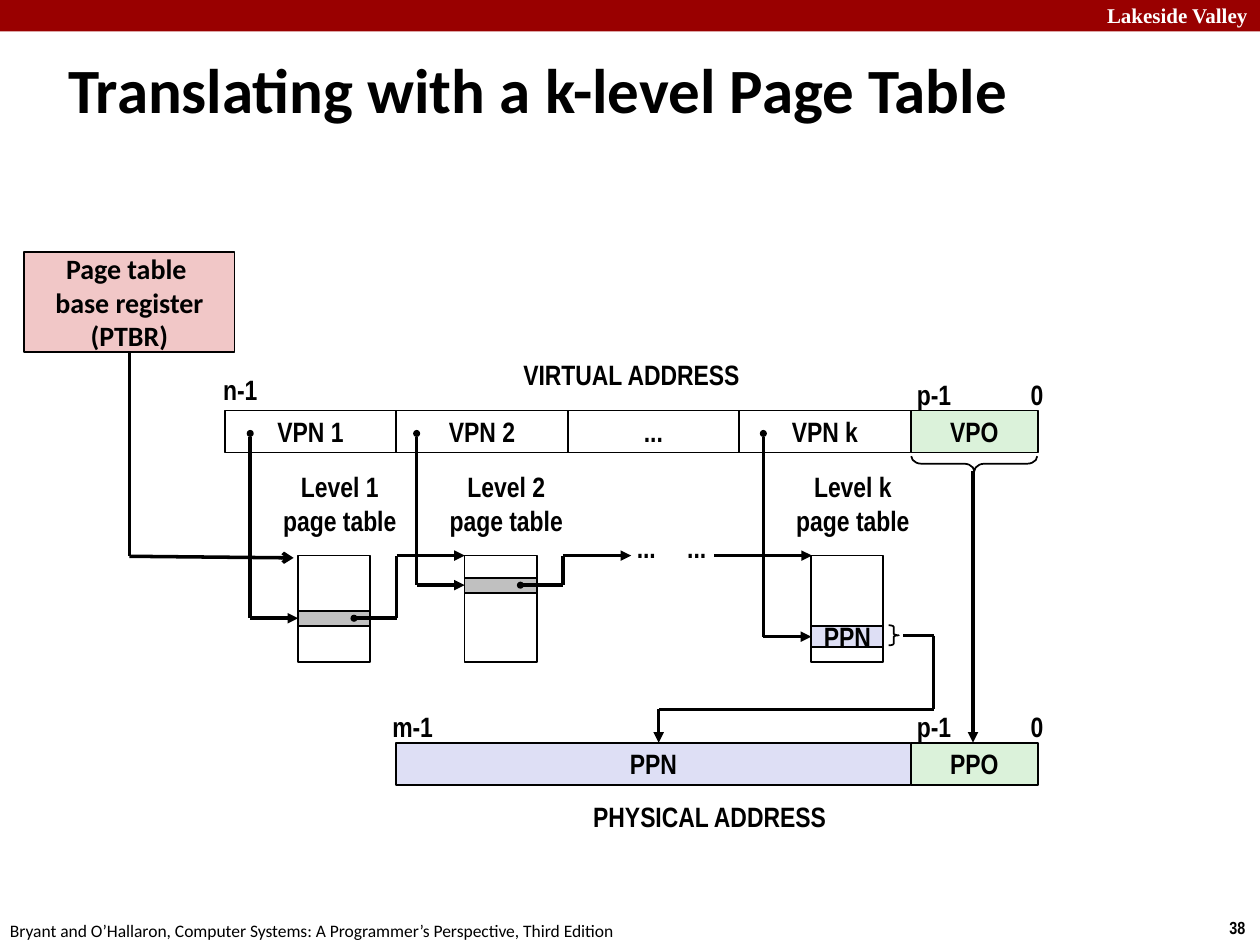
from itertools import pairwise

from lxml import etree
from pptx import Presentation
from pptx.dml.color import RGBColor
from pptx.enum.shapes import MSO_CONNECTOR, MSO_SHAPE
from pptx.enum.text import MSO_ANCHOR, PP_ALIGN
from pptx.oxml.ns import qn
from pptx.util import Pt

RECT, BRACE = MSO_SHAPE.RECTANGLE, MSO_SHAPE.RIGHT_BRACE
STRAIGHT = MSO_CONNECTOR.STRAIGHT
LEFT, CENTER, RIGHT = PP_ALIGN.LEFT, PP_ALIGN.CENTER, PP_ALIGN.RIGHT
TOP, MIDDLE = MSO_ANCHOR.TOP, MSO_ANCHOR.MIDDLE

BLACK = RGBColor(0x00, 0x00, 0x00)
WHITE = RGBColor(0xFF, 0xFF, 0xFF)
DARK_RED = RGBColor(0x99, 0x00, 0x00)
PINK = RGBColor(0xF1, 0xC7, 0xC7)
GREEN = RGBColor(0xDB, 0xF2, 0xDA)
LILAC = RGBColor(0xDE, 0xDF, 0xF5)
GRAY = RGBColor(0xC0, 0xC0, 0xC0)

BODY_FONT, TITLE_FONT, BAND_FONT = "Arial Narrow", "Calibri", "Times New Roman"

# Address fields: four VPN cells, then the page offset
VPN_LEFT, VPN_WIDTH = 128.4, 98
OFFSET_LEFT, OFFSET_WIDTH = VPN_LEFT + 4 * VPN_WIDTH, 72.6
VIRTUAL_TOP, PHYSICAL_TOP, FIELD_HEIGHT = 234.6, 424.4, 24
# Page tables
TABLE_TOP, TABLE_WIDTH, TABLE_HEIGHT = 317.5, 41.2, 61


def write(shape, text, size=16, font=BODY_FONT, color=BLACK, bold=True,
          align=CENTER, anchor=MIDDLE, wrap=False):
    frame = shape.text_frame
    frame.text = text
    frame.word_wrap = wrap
    frame.vertical_anchor = anchor
    for paragraph in frame.paragraphs:
        paragraph.alignment = align
        for run in paragraph.runs:
            run.font.name, run.font.size = font, Pt(size)
            run.font.bold = bold
            run.font.color.rgb = color


def label(slide, text, left, top, width, height=26.6, **text_format):
    box = slide.shapes.add_textbox(Pt(left), Pt(top), Pt(width), Pt(height))
    write(box, text, **text_format)


def block(slide, left, top, width, height, fill=None, text="", kind=RECT,
          outlined=True, **text_format):
    shape = slide.shapes.add_shape(kind, Pt(left), Pt(top), Pt(width), Pt(height))
    shape.shadow.inherit = False
    if fill is None:
        shape.fill.background()
    else:
        shape.fill.solid()
        shape.fill.fore_color.rgb = fill
    if outlined:
        shape.line.color.rgb = BLACK
        shape.line.width = Pt(1)
    else:
        shape.line.fill.background()
    if text:
        write(shape, text, **text_format)
    return shape


def wire(slide, *points, head=None, tail=None):
    """Straight segments through the points, with optional end marks."""
    last = len(points) - 2
    for i, (start, end) in enumerate(pairwise(points)):
        line = slide.shapes.add_connector(
            STRAIGHT, *(Pt(value) for value in (*start, *end)))
        line.line.color.rgb = BLACK
        line.line.width = Pt(2)
        outline = line.line._get_or_add_ln()
        if head and i == 0:
            etree.SubElement(outline, qn("a:headEnd"), type=head, w="sm", len="sm")
        if tail and i == last:
            etree.SubElement(outline, qn("a:tailEnd"), type=tail)
        etree.SubElement(line._element.spPr, qn("a:effectLst"))


def page_table(slide, level, left, entry_middle, entry_height=8.6,
               entry_fill=GRAY, entry_text=""):
    """A page table with the VPN line that picks its entry."""
    label(slide, f"Level {level}\npage table", left - 16.2, 264.6, 80, 46)
    block(slide, left, TABLE_TOP, TABLE_WIDTH, TABLE_HEIGHT)
    block(slide, left, entry_middle - entry_height / 2, TABLE_WIDTH,
          entry_height, entry_fill, entry_text)
    index = left - 27.4
    wire(slide, (index, 247.7), (index, entry_middle), (left, entry_middle),
         head="oval", tail="triangle")


def next_level_link(slide, left, entry_middle):
    bend = left + 56.2
    wire(slide, (left + 31.9, entry_middle), (bend, entry_middle),
         (bend, TABLE_TOP), (left + 95.2, TABLE_TOP),
         head="oval", tail="triangle")


def offset_field(slide, top, name):
    block(slide, OFFSET_LEFT, top, OFFSET_WIDTH, FIELD_HEIGHT, GREEN, name)
    label(slide, "p-1", 516.4, top - 22.4, 34.6)
    label(slide, "0", 581.8, top - 22.4, 21.6)


def frame(slide):
    # Band, footer and page number
    block(slide, 0, 0, 720, 18, DARK_RED, outlined=False)
    label(slide, "Lakeside Valley", 600, -2.2, 120, 21.6, size=12,
          font=BAND_FONT, color=WHITE, align=RIGHT, anchor=TOP, wrap=True)
    label(slide, "38", 695.5, 520.6, 24.5, 19.4, size=10, align=LEFT, anchor=TOP)
    label(slide, "Bryant and O’Hallaron, Computer Systems: A Programmer’s "
          "Perspective, Third Edition", -1.4, 522, 365.8, 19.4, size=10,
          font=TITLE_FONT, bold=False, align=LEFT, anchor=TOP)

    title = slide.shapes.title
    title.left, title.top, title.width, title.height = map(Pt, (31.7, 19.4, 652.3, 62))
    write(title, "Translating with a k-level Page Table", size=36,
          font=TITLE_FONT, align=LEFT, wrap=True)


def main():
    prs = Presentation()
    prs.slide_width, prs.slide_height = Pt(720), Pt(540)
    slide = prs.slides.add_slide(prs.slide_layouts[5])
    frame(slide)

    # Base register pointing at the first table
    block(slide, 13.9, 144.2, 120.2, 56.9, PINK,
          "Page table \vbase register\n(PTBR)", font=TITLE_FONT, wrap=True)
    wire(slide, (74, 201), (74, 317.9), (167.8, 318.8), tail="arrow")

    # Virtual address
    label(slide, "VIRTUAL ADDRESS", 291, 200.7, 139.7)
    label(slide, "n-1", 120, 209, 34.6)
    for i, name in enumerate(("VPN 1", "VPN 2", "...", "VPN k")):
        block(slide, VPN_LEFT + i * VPN_WIDTH, VIRTUAL_TOP, VPN_WIDTH,
              FIELD_HEIGHT, text=name)
    offset_field(slide, VIRTUAL_TOP, "VPO")

    # Page tables
    for level, left, entry_middle in ((1, 170.4, 353.3), (2, 265.5, 334.4)):
        page_table(slide, level, left, entry_middle)
        next_level_link(slide, left, entry_middle)
    page_table(slide, "k", 463.6, 363.8, 12, LILAC, "PPN")
    for dots_left in (356.4, 385.2):
        label(slide, "...", dots_left, 299.5, 25.9)
    wire(slide, (408.3, TABLE_TOP), (464, TABLE_TOP), tail="triangle")

    # Physical address
    label(slide, "m-1", 216.7, PHYSICAL_TOP - 22.4, 38.2)
    physical_left = VPN_LEFT + VPN_WIDTH
    block(slide, physical_left, PHYSICAL_TOP, 3 * VPN_WIDTH, FIELD_HEIGHT,
          LILAC, "PPN")
    offset_field(slide, PHYSICAL_TOP, "PPO")
    label(slide, "PHYSICAL ADDRESS", 330.6, 453.4, 149.8)

    # Page number and offset carried into the physical address
    wire(slide, (516.2, 363.2), (533.5, 363.2), (533.5, 405.4),
         (376.4, 405.4), (376.4, PHYSICAL_TOP), tail="triangle")
    wire(slide, (556, 269.3), (556, PHYSICAL_TOP), tail="triangle")
    offset_brace = block(slide, 552.4, 229, 8.6, 72, kind=BRACE)
    offset_brace.rotation = 90
    offset_brace.adjustments[0] = 0.68
    entry_brace = block(slide, 507.8, 357.3, 5.8, 11.5, kind=BRACE)
    entry_brace.adjustments[0] = 0.16

    prs.save("out.pptx")


if __name__ == "__main__":
    main()
